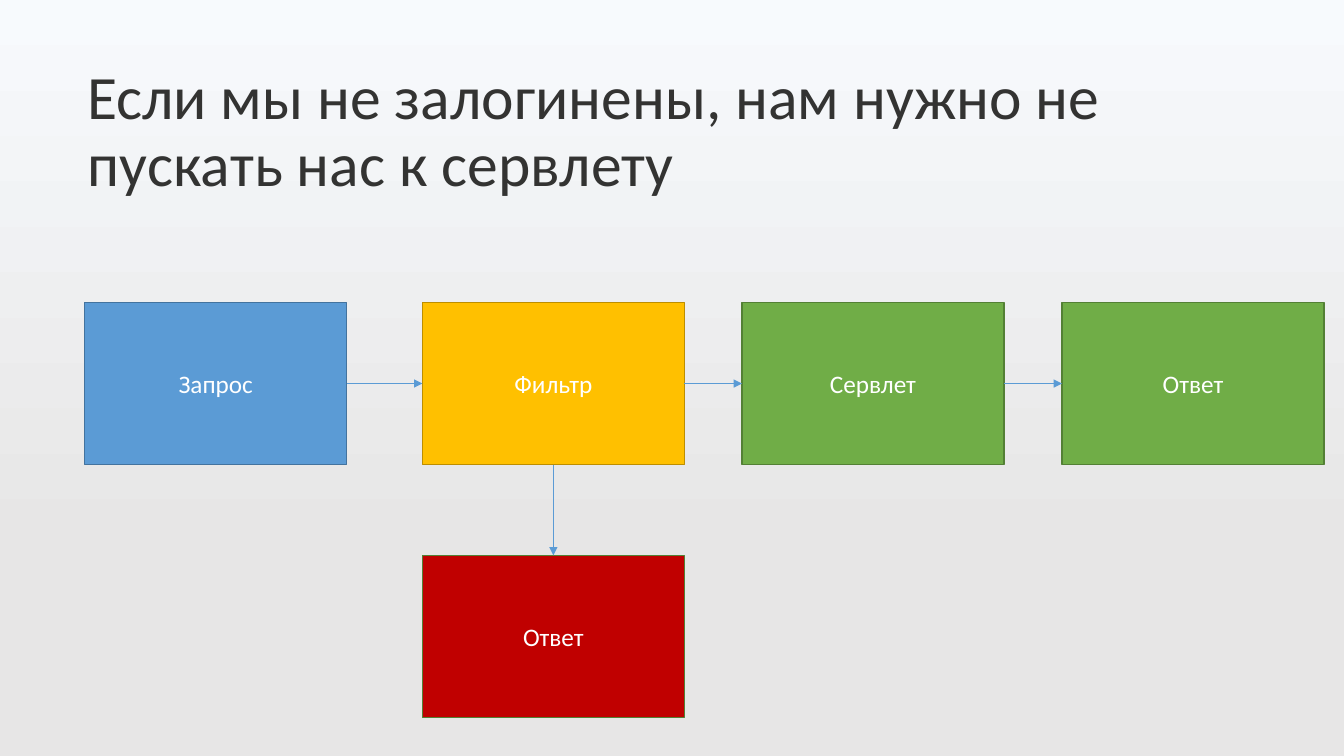
from lxml.etree import SubElement
from pptx import Presentation
from pptx.dml.color import RGBColor
from pptx.enum.shapes import MSO_CONNECTOR, MSO_SHAPE
from pptx.enum.text import MSO_ANCHOR, PP_ALIGN
from pptx.oxml.ns import qn
from pptx.util import Pt

THEME = {
    "font": "Calibri",
    "title": {"size": 44, "color": "333332"},
    "label": {"size": 18, "color": "FFFFFF"},
    "background": [("F7FAFD", 0), ("E7E6E6", 0.72)],
    "blue": ("5B9BD5", "43739E"),
    "yellow": ("FFC000", "BD8E00"),
    "green": ("70AD47", "538035"),
    "red": ("C00000", "538035"),
    "arrow": "5B9BD5",
    "outline": 1,
    "arrow_width": 0.5,
}
BOX_WIDTH, BOX_HEIGHT = 187.2, 115.9
TOP_ROW, BOTTOM_ROW = 216, 396.7
TOP, LEFT, BOTTOM, RIGHT = range(4)


def write(para, text, style):
    span = para.add_run()
    span.text = text
    font_format = {"name": THEME["font"], "size": Pt(style["size"])}
    for name, value in font_format.items():
        setattr(span.font, name, value)
    span.font.color.rgb = RGBColor.from_string(style["color"])


deck = Presentation()
deck.slide_width, deck.slide_height = Pt(960), Pt(540)
page = deck.slides.add_slide(deck.slide_layouts[6])

backdrop = page.background.fill
backdrop.gradient()
backdrop.gradient_angle = 270
for stop, (color, position) in zip(backdrop.gradient_stops, THEME["background"]):
    stop.color.rgb = RGBColor.from_string(color)
    stop.position = position

title = page.shapes.add_textbox(Pt(62.6), Pt(47.5), Pt(828), Pt(96))
frame_format = {
    "word_wrap": True,
    "margin_left": 0,
    "margin_top": 0,
    "margin_right": 0,
    "margin_bottom": 0,
}
for name, value in frame_format.items():
    setattr(title.text_frame, name, value)
para = title.text_frame.paragraphs[0]
para.line_spacing = 0.9
write(para, "Если мы не залогинены, нам нужно не пускать нас к сервлету", THEME["title"])

steps = [
    ("Запрос", "blue", 60.5, TOP_ROW),
    ("Фильтр", "yellow", 301.7, TOP_ROW),
    ("Сервлет", "green", 530, TOP_ROW),
    ("Ответ", "green", 758.6, TOP_ROW),
    ("Ответ", "red", 301.7, BOTTOM_ROW),
]
boxes = []
for text, palette, left, top in steps:
    box = page.shapes.add_shape(
        MSO_SHAPE.RECTANGLE, Pt(left), Pt(top), Pt(BOX_WIDTH), Pt(BOX_HEIGHT)
    )
    fill, outline = THEME[palette]
    box.shadow.inherit = False
    box.fill.solid()
    box.fill.fore_color.rgb = RGBColor.from_string(fill)
    box.line.color.rgb = RGBColor.from_string(outline)
    box.line.width = Pt(THEME["outline"])
    box.text_frame.vertical_anchor = MSO_ANCHOR.MIDDLE
    para = box.text_frame.paragraphs[0]
    para.alignment = PP_ALIGN.CENTER
    write(para, text, THEME["label"])
    boxes.append(box)

request, gate, servlet, response, refusal = boxes
links = [
    (request, RIGHT, gate, LEFT),
    (gate, RIGHT, servlet, LEFT),
    (servlet, RIGHT, response, LEFT),
    (gate, BOTTOM, refusal, TOP),
]
for source, exit_side, target, entry_side in links:
    arrow = page.shapes.add_connector(MSO_CONNECTOR.STRAIGHT, 0, 0, 0, 0)
    arrow.begin_connect(source, exit_side)
    arrow.end_connect(target, entry_side)
    arrow.line.color.rgb = RGBColor.from_string(THEME["arrow"])
    arrow.line.width = Pt(THEME["arrow_width"])
    properties = arrow.element.spPr
    SubElement(properties.find(qn("a:ln")), qn("a:tailEnd"), type="triangle")
    SubElement(properties, qn("a:effectLst"))

deck.save("out.pptx")
